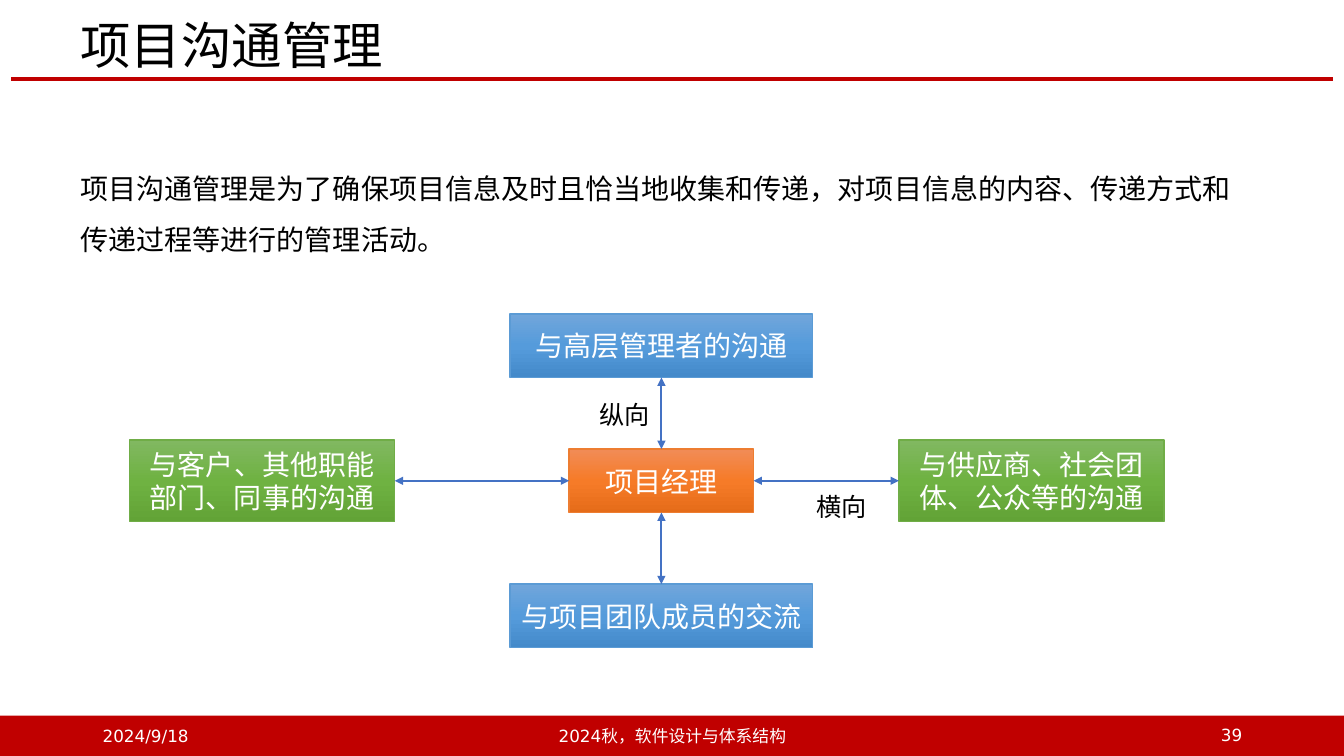
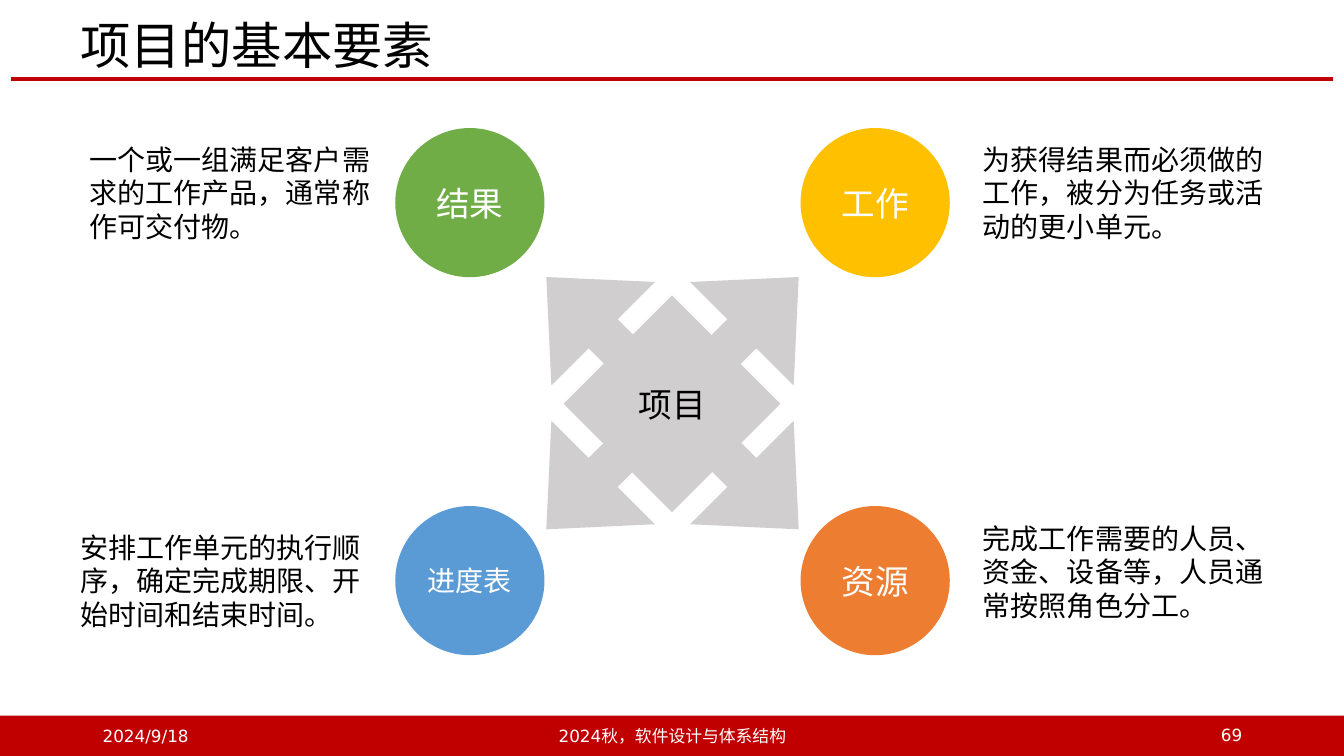
import copy
import pptx
import pptx.util
import pptx.dml.color
import pptx.enum.shapes
import pptx.enum.text
import pptx.oxml.ns
import pptx.oxml.xmlchemy
from lxml import etree

Inches = pptx.util.Inches
Pt = pptx.util.Pt
qn = pptx.oxml.ns.qn
KIND = pptx.enum.shapes.MSO_SHAPE
LINK = pptx.enum.shapes.MSO_CONNECTOR.STRAIGHT
ALIGN = pptx.enum.text.PP_ALIGN
ANCHOR = pptx.enum.text.MSO_ANCHOR

RED, WHITE, BLACK, GREY = "C00000", "FFFFFF", "000000", "D0CECE"
BLUE, GREEN, ORANGE, GOLD = "5B9BD5", "70AD47", "ED7D31", "FFC000"
WIRE = "4472C4"
SHADES = {
    BLUE: ("71A6DB", "559BDB", "448ACA"),
    GREEN: ("81B861", "6FB242", "62A336"),
    ORANGE: ("F18C57", "F67B28", "E56C19"),
}
SANS, HEAD, BODY = "DejaVu Sans", "Noto Sans CJK SC", "Arial"


def hue(code):
    return pptx.dml.color.RGBColor.from_string(code)


def put(slide, box, text="", size=20, font=SANS, tone=BLACK, align=ALIGN.LEFT,
        anchor=ANCHOR.MIDDLE, space=1.0, kind=None, fill=None):
    place = [Inches(v) for v in box]
    if kind is None:
        shape = slide.shapes.add_textbox(*place)
    else:
        shape = slide.shapes.add_shape(kind, *place)
        shape.shadow.inherit = False
        shape.fill.solid()
        shape.fill.fore_color.rgb = hue(fill)
        shape.line.fill.background()
    if text:
        frame = shape.text_frame
        frame.word_wrap = True
        frame.vertical_anchor = anchor
        para = frame.paragraphs[0]
        para.alignment = align
        para.line_spacing = space
        run = para.add_run()
        run.text = text
        run.font.size = Pt(size)
        run.font.name = font
        run.font.color.rgb = hue(tone)
        etree.SubElement(run.font.element if hasattr(run.font, "element") else run._r.get_or_add_rPr(),
                         qn("a:ea"), typeface=HEAD)
    return shape


deck = pptx.Presentation()
deck.slide_width, deck.slide_height = Inches(13.33), Inches(7.5)
blank = deck.slide_layouts[6]
wires = []
pages = []

for title, number in (("项目沟通管理", "39"), ("项目的基本要素", "69")):
    page = deck.slides.add_slide(blank)
    pages.append(page)
    rule = page.shapes.add_connector(
        LINK, Inches(0.11), Inches(0.78), Inches(13.22), Inches(0.78))
    wires.append((rule, RED, 3, False))
    put(page, (0, 7.1, 13.33, 0.4), kind=KIND.RECTANGLE, fill=RED)
    put(page, (0.7, 0.18, 11.71, 0.6), title, 36, HEAD, space=0.9)
    for left, top, width, text, align in (
        (0.92, 7.1, 3, "2024/9/18", ALIGN.LEFT),
        (4.42, 7.1, 4.5, "2024秋，软件设计与体系结构", ALIGN.CENTER),
        (9.42, 7.09, 3, number, ALIGN.RIGHT),
    ):
        put(page, (left, top, width, 0.4), text, 12, tone=WHITE, align=align)

talk, parts = pages

put(talk, (0.7, 1.49, 11.71, 1.06),
    "项目沟通管理是为了确保项目信息及时且恰当地收集和传递，对项目信息的内容、传递方式和传递过程等进行的管理活动。",
    font=BODY, anchor=ANCHOR.TOP, space=1.5)

MID_X, MID_Y = 6.56, 4.77
TOP, LEFT, BOTTOM, RIGHT = range(4)
hub = None
for x, y, width, height, text, tone, start, end in (
    (MID_X, MID_Y, 1.83, 0.63, "项目经理", ORANGE, None, None),
    (MID_X, 3.43, 3, 0.63, "与高层管理者的沟通", BLUE, TOP, BOTTOM),
    (MID_X, 6.11, 3, 0.63, "与项目团队成员的交流", BLUE, BOTTOM, TOP),
    (2.6, MID_Y, 2.63, 0.81, "与客户、其他职能部门、同事的沟通", GREEN, LEFT, RIGHT),
    (10.23, MID_Y, 2.63, 0.81, "与供应商、社会团体、公众等的沟通", GREEN, RIGHT, LEFT),
):
    node = put(talk, (x - width / 2, y - height / 2, width, height), text,
               tone=WHITE, align=ALIGN.CENTER, kind=KIND.RECTANGLE, fill=tone)
    node.line.color.rgb = hue(tone)
    node.line.width = Pt(1)
    node.fill.gradient()
    node.fill.gradient_angle = 270
    stops = node.element.spPr.find(".//" + qn("a:gsLst"))
    stops.insert(1, copy.deepcopy(stops[0]))
    for stop, shade, spot in zip(node.fill.gradient_stops, SHADES[tone], (0, 0.5, 1)):
        stop.color.rgb = hue(shade)
        stop.position = spot
    if hub is None:
        hub = node
    else:
        link = talk.shapes.add_connector(LINK, 0, 0, 0, 0)
        link.begin_connect(hub, start)
        link.end_connect(node, end)
        wires.append((link, WIRE, 1.5, True))

for left, top, text in ((5.85, 3.91, "纵向"), (8, 4.83, "横向")):
    put(talk, (left, top, 0.75, 0.4), text, 18, anchor=ANCHOR.TOP)

cross = put(parts, (4.9, 2.23, 3.54, 3.54), kind=KIND.QUAD_ARROW, fill=GREY)
cross.rotation = 45
for index, ratio in enumerate((0.115, 0.205, 0.225)):
    cross.adjustments[index] = ratio
put(parts, (5.59, 2.93, 2.15, 2.15), "项目", 24, align=ALIGN.CENTER,
    kind=KIND.DIAMOND, fill=GREY)

for left, top, name, size, tone, x, y, width, text in (
    (3.92, 1.27, "结果", 24, GREEN, 0.79, 1.36, 3.13,
     "一个或一组满足客户需求的工作产品，通常称作可交付物。"),
    (3.92, 5.02, "进度表", 20, BLUE, 0.7, 5.21, 3.13,
     "安排工作单元的执行顺序，确定完成期限、开始时间和结束时间。"),
    (7.94, 1.27, "工作", 24, GOLD, 9.65, 1.36, 3,
     "为获得结果而必须做的工作，被分为任务或活动的更小单元。"),
    (7.94, 5.02, "资源", 24, ORANGE, 9.65, 5.12, 3,
     "完成工作需要的人员、资金、设备等，人员通常按照角色分工。"),
):
    put(parts, (left, top, 1.48, 1.48), name, size, tone=WHITE,
        align=ALIGN.CENTER, kind=KIND.OVAL, fill=tone)
    put(parts, (x, y, width, 1.11), text, font=BODY, anchor=ANCHOR.TOP)

for wire, tone, width, ends in wires:
    wire.line.color.rgb = hue(tone)
    wire.line.width = Pt(width)
    props = wire.element.spPr
    if ends:
        for tag in ("a:headEnd", "a:tailEnd"):
            etree.SubElement(props.find(qn("a:ln")), qn(tag), type="triangle")
    etree.SubElement(props, qn("a:effectLst"))

deck.save("out.pptx")
